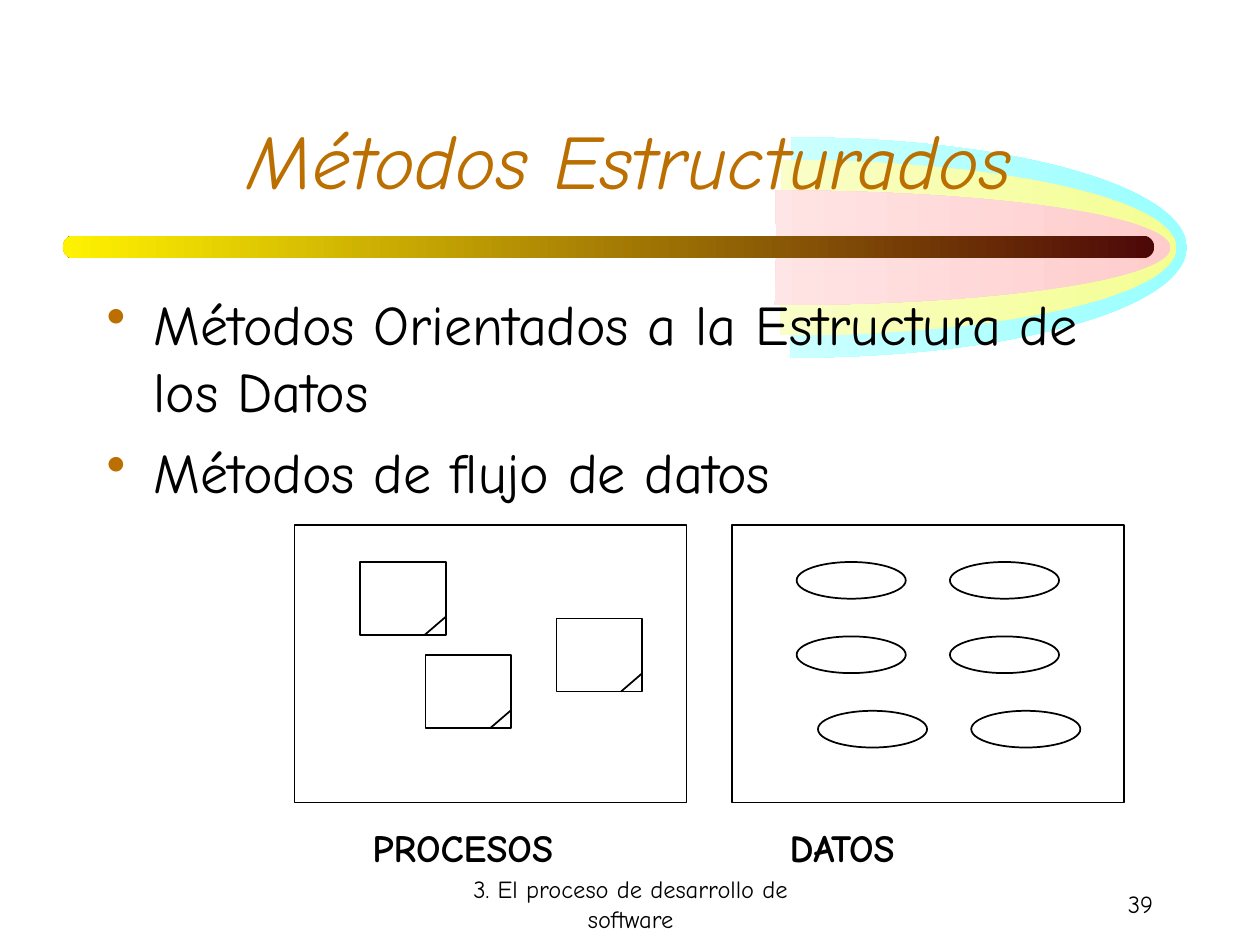
from lxml.etree import SubElement
from pptx import Presentation
from pptx.dml.color import RGBColor
from pptx.enum.shapes import MSO_CONNECTOR as LINK, MSO_SHAPE as SHAPE
from pptx.enum.text import MSO_ANCHOR as ANCHOR, PP_ALIGN as ALIGN
from pptx.oxml.ns import qn
from pptx.util import Cm, Pt

FONT = "Comic Neue"
BLACK = "000000"
OCHRE = "BA6F00"


def color(value):
    return RGBColor.from_string(value)


def lengths(*values):
    return [Cm(value) for value in values]


def add_text(slide, box, lines, size, ink=BLACK, align=ALIGN.LEFT,
             anchor=ANCHOR.TOP, wrap=True, **style):
    frame = slide.shapes.add_textbox(*lengths(*box)).text_frame
    frame.word_wrap = wrap
    frame.vertical_anchor = anchor
    for index, line in enumerate(lines):
        paragraph = frame.paragraphs[0] if index == 0 else frame.add_paragraph()
        paragraph.alignment = align
        run = paragraph.add_run()
        run.text = line
        run.font.color.rgb = color(ink)
        for key, value in {"name": FONT, "size": Pt(size), **style}.items():
            setattr(run.font, key, value)
    return frame


def add_gradient(slide, preset, box, adjustments, start, end):
    band = slide.shapes.add_shape(preset, *lengths(*box))
    band.shadow.inherit = False
    for index, value in enumerate(adjustments):
        band.adjustments[index] = value
    band.fill.gradient()
    band.fill.gradient_angle = 180
    for stop, shade in zip(band.fill.gradient_stops, (start, end)):
        stop.color.rgb = color(shade)
    band.line.fill.background()


def add_outline(slide, preset, box):
    outline = slide.shapes.add_shape(preset, *lengths(*box))
    outline.shadow.inherit = False
    outline.fill.background()
    outline.line.color.rgb = color(BLACK)
    outline.line.width = Pt(1)


def add_comet(slide, left, top):
    tails = [(6.76, 0, 4.44, "99FFFF"), (6.55, 0.46, 3.53, "F4FE92"),
             (6.43, 1.07, 2.31, "FFCCCC")]
    for dx, dy, height, shade in tails:
        add_gradient(slide, SHAPE.ARC, (left + dx, top + dy, 15.9, height),
                     (161.6, 54.8), shade, "FFFFFF")
    add_gradient(slide, SHAPE.ROUNDED_RECTANGLE, (left, top + 1.98, 22, 0.46),
                 (0.5,), "4D0808", "FFF200")


def add_card(slide, left, top, width=1.73, height=1.47):
    add_outline(slide, SHAPE.RECTANGLE, (left, top, width, height))
    fold = slide.shapes.add_connector(LINK.STRAIGHT, *lengths(
        left + 1.3, top + height, left + width, top + 1.1))
    fold.line.color.rgb = color(BLACK)
    fold.line.width = Pt(1)
    SubElement(fold._element.spPr, qn("a:effectLst"))


def add_panel(slide, box, label, label_dx, label_width):
    left, top, width, height = box
    add_outline(slide, SHAPE.RECTANGLE, box)
    add_text(slide, (left + label_dx, top + 5.89, label_width, 1.19), [label], 22,
             wrap=False, bold=True)


def add_processes(slide, box):
    add_panel(slide, box, "PROCESOS", 1.32, 4.17)
    for dx, dy in [(1.32, 0.74), (2.64, 2.62), (5.28, 1.88)]:
        add_card(slide, box[0] + dx, box[1] + dy)


def add_data(slide, box):
    add_panel(slide, box, "DATOS", 0.91, 2.74)
    for row, indent in enumerate((1.3, 1.3, 1.73)):
        for column in range(2):
            add_outline(slide, SHAPE.OVAL, (
                box[0] + indent + 3.09 * column, box[1] + 0.74 + 1.5 * row, 2.2, 0.74))


def add_bullets(slide, box, lines):
    frame = add_text(slide, box, lines, 32)
    for index, paragraph in enumerate(frame.paragraphs):
        properties = paragraph._p.get_or_add_pPr()
        for key, value in {"marL": Cm(0.95), "indent": -Cm(0.95)}.items():
            properties.set(key, str(int(value)))
        bullet_color = SubElement(properties, qn("a:buClr"))
        SubElement(bullet_color, qn("a:srgbClr"), val=OCHRE)
        SubElement(properties, qn("a:buChar"), char="•")
        if index:
            paragraph.space_before = Pt(8)


def add_footer(slide, top):
    for left, width, words, align in [
            (8.69, 8.05, "3. El proceso de desarrollo de software", ALIGN.CENTER),
            (18.21, 5.29, "39", ALIGN.RIGHT)]:
        add_text(slide, (left, top, width, 1.27), [words], 14, align=align,
                 anchor=ANCHOR.MIDDLE)


def main():
    deck = Presentation()
    deck.slide_width, deck.slide_height = lengths(25.4, 19.05)
    slide = deck.slides.add_slide(deck.slide_layouts[6])
    add_comet(slide, 1.27, 2.77)
    add_processes(slide, (5.94, 10.59, 7.9, 5.59))
    add_data(slide, (14.76, 10.59, 7.9, 5.59))
    add_text(slide, (1.9, 1.07, 21.59, 3.18), ["Métodos Estructurados"], 44, OCHRE,
             ALIGN.CENTER, ANCHOR.BOTTOM, italic=True)
    add_bullets(slide, (1.9, 5.71, 21.59, 11.43), [
        "Métodos Orientados a la Estructura de los Datos",
        "Métodos de flujo de datos"])
    add_footer(slide, 17.58)
    deck.save("out.pptx")


if __name__ == "__main__":
    main()
